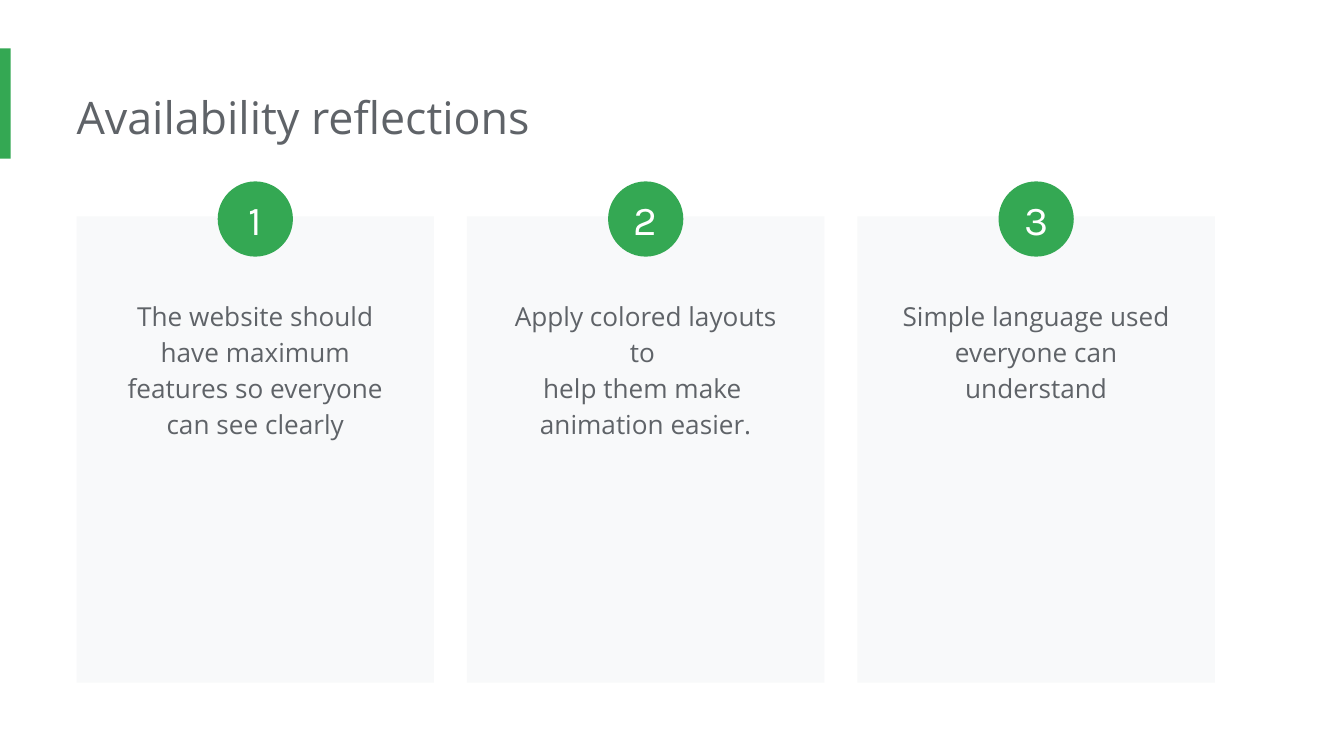
"""Build the availability reflections slide with three numbered cards."""
from dataclasses import dataclass

from pptx import Presentation
from pptx.dml.color import RGBColor
from pptx.enum.shapes import MSO_SHAPE
from pptx.enum.text import MSO_ANCHOR, MSO_AUTO_SIZE, PP_ALIGN
from pptx.util import Inches, Pt

TITLE = "Availability reflections"
REFLECTIONS = [
    ("The website should have maximum features so everyone can see clearly", 1.29),
    ("Apply colored layouts to \nhelp them make \nanimation easier.", 1.49),
    ("Simple language used everyone can understand", 1.22),
]


@dataclass(frozen=True)
class Theme:
    accent: str = "34A853"
    card: str = "F8F9FA"
    ink: str = "5F6368"
    white: str = "FFFFFF"
    body_font: str = "Open Sans"
    number_font: str = "Karla"
    title_size: int = 24
    body_size: int = 14
    number_size: int = 22


THEME = Theme()
SLIDE_W = 10
SLIDE_H = SLIDE_W * 9 / 16
LEFT, RIGHT = 0.57, 9.04
CARD_TOP, CARD_W, CARD_H = 1.61, 2.66, 3.47
TEXT_TOP, TEXT_W = 2.1, 2.24
BADGE_TOP, BADGE_SIZE = 1.35, 0.56
PITCH = (RIGHT - LEFT - CARD_W) / (len(REFLECTIONS) - 1)


def add_block(s, kind, box, color):
    sp = s.shapes.add_shape(kind, *map(Inches, box))
    sp.shadow.inherit = False
    sp.fill.solid()
    sp.fill.fore_color.rgb = RGBColor.from_string(color)
    sp.line.fill.background()
    return sp


def write(tf, text, font, size, color, align=PP_ALIGN.LEFT, spacing=None):
    tf.word_wrap = True
    p = tf.paragraphs[0]
    p.text = text
    p.alignment = align
    p.line_spacing = spacing
    p.font.name = font
    p.font.size = Pt(size)
    p.font.color.rgb = RGBColor.from_string(color)


def add_text(s, box, text, size, inset=0.1, **style):
    tf = s.shapes.add_textbox(*map(Inches, box)).text_frame
    tf.margin_left = Inches(inset)
    tf.margin_right = tf.margin_top = tf.margin_bottom = Inches(0.1)
    tf.auto_size = MSO_AUTO_SIZE.SHAPE_TO_FIT_TEXT
    write(tf, text, THEME.body_font, size, THEME.ink, **style)


def add_card(s, left, text, text_h):
    add_block(s, MSO_SHAPE.RECTANGLE, (left, CARD_TOP, CARD_W, CARD_H), THEME.card)
    box = (left + (CARD_W - TEXT_W) / 2, TEXT_TOP, TEXT_W, text_h)
    add_text(s, box, text, THEME.body_size, align=PP_ALIGN.CENTER, spacing=1.15)


def add_badge(s, left, number):
    box = (left + (CARD_W - BADGE_SIZE) / 2, BADGE_TOP, BADGE_SIZE, BADGE_SIZE)
    tf = add_block(s, MSO_SHAPE.OVAL, box, THEME.accent).text_frame
    tf.margin_left = tf.margin_right = tf.margin_top = tf.margin_bottom = 0
    tf.vertical_anchor = MSO_ANCHOR.MIDDLE
    write(tf, str(number), THEME.number_font, THEME.number_size, THEME.white,
          align=PP_ALIGN.CENTER)


def main():
    prs = Presentation()
    prs.slide_width, prs.slide_height = Inches(SLIDE_W), Inches(SLIDE_H)
    s = prs.slides.add_slide(prs.slide_layouts[6])
    s.background.fill.solid()
    s.background.fill.fore_color.rgb = RGBColor.from_string(THEME.white)

    add_block(s, MSO_SHAPE.RECTANGLE, (0, 0.36, 0.08, 0.82), THEME.accent)
    add_text(s, (LEFT, 0.57, 7.66, 0.61), TITLE, THEME.title_size, inset=0)
    lefts = [LEFT + i * PITCH for i in range(len(REFLECTIONS))]
    for left, (text, text_h) in zip(lefts, REFLECTIONS):
        add_card(s, left, text, text_h)
    for number, left in enumerate(lefts, 1):
        add_badge(s, left, number)
    prs.save("out.pptx")


if __name__ == "__main__":
    main()
